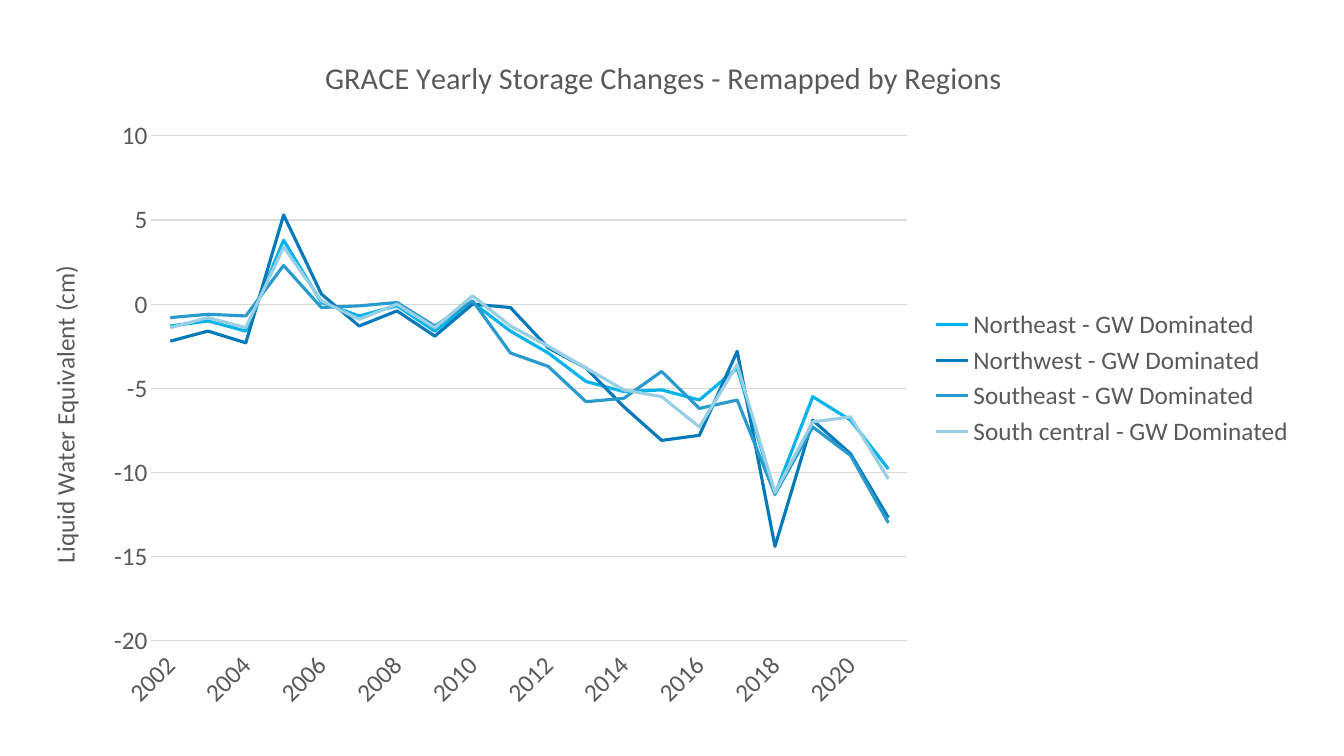
from lxml import etree
from pptx import Presentation
from pptx.chart.data import CategoryChartData
from pptx.dml.color import RGBColor
from pptx.enum.chart import XL_CHART_TYPE, XL_LEGEND_POSITION, XL_TICK_LABEL_POSITION, XL_TICK_MARK
from pptx.oxml.ns import qn
from pptx.util import Inches, Pt

# Content
TITLE = "GRACE Yearly Storage Changes - Remapped by Regions"
AXIS_TITLE = "Liquid Water Equivalent (cm)"
YEARS = [str(year) for year in range(2002, 2022)]
REGIONS = [
    ("Northeast - GW Dominated", "00B4EB",
     (-1.3, -1, -1.6, 3.8, 0.1, -0.7, -0.1, -1.6, 0.1, -1.6,
      -2.9, -4.6, -5.2, -5.1, -5.7, -3.8, -11.3, -5.5, -6.9, -9.8)),
    ("Northwest - GW Dominated", "0379B9",
     (-2.2, -1.6, -2.3, 5.3, 0.6, -1.3, -0.4, -1.9, 0, -0.2,
      -2.6, -3.8, -6.1, -8.1, -7.8, -2.8, -14.4, -6.9, -8.9, -12.7)),
    ("Southeast - GW Dominated", "289ACD",
     (-0.8, -0.6, -0.7, 2.3, -0.2, -0.1, 0.1, -1.3, 0.2, -2.9,
      -3.7, -5.8, -5.6, -4, -6.2, -5.7, -11.3, -7.3, -9, -13)),
    ("South central - GW Dominated", "98CFE5",
     (-1.4, -0.8, -1.4, 3.4, 0.2, -0.9, 0, -1.4, 0.5, -1.3,
      -2.5, -3.8, -5.1, -5.5, -7.3, -3.6, -11.2, -7, -6.7, -10.4)),
]
PLOT = {"x": 0.1, "y": 0.15, "w": 0.59, "h": 0.73}  # shares of the chart frame
GREY, GRID, FONT = "595959", "D9D9D9", "Calibri"


def rgb(value):
    return RGBColor.from_string(value)


def style_font(font, size):
    font.name, font.size, font.bold = FONT, Pt(size), False
    font.color.rgb = rgb(GREY)


def style_line(line, color, width):
    line.color.rgb = rgb(color)
    line.width = Pt(width)


def add_title(owner, text, size):
    p = owner.text_frame.paragraphs[0]
    r = p.add_run()
    r.text = text
    style_font(r.font, size)


def place_plot(chart):
    area = chart._chartSpace.chart.plotArea
    for old in area.findall(qn("c:layout")):
        area.remove(old)
    layout = etree.Element(qn("c:layout"))
    area.insert(0, layout)
    manual = etree.SubElement(layout, qn("c:manualLayout"))
    settings = {"layoutTarget": "inner", "xMode": "edge", "yMode": "edge", **PLOT}
    for tag, value in settings.items():
        etree.SubElement(manual, qn("c:" + tag)).set("val", str(value))


prs = Presentation()
prs.slide_width, prs.slide_height = Inches(13.33), Inches(7.5)
s = prs.slides.add_slide(prs.slide_layouts[6])

# Chart
data = CategoryChartData()
data.categories = YEARS
for name, _, values in REGIONS:
    data.add_series(name, values)
chart = s.shapes.add_chart(XL_CHART_TYPE.LINE, Inches(0.23), Inches(0.32),
                           Inches(12.71), Inches(6.86), data).chart
style_font(chart.font, 18)
add_title(chart.chart_title, TITLE, 21.6)
chart.chart_title.include_in_layout = False
place_plot(chart)

# Lines
chart.plots[0].vary_by_categories = False
for series, (_, color, _) in zip(chart.plots[0].series, REGIONS):
    series.smooth = False
    style_line(series.format.line, color, 2.25)

# Axes
years, level = chart.category_axis, chart.value_axis
for axis in (years, level):
    axis.major_tick_mark = axis.minor_tick_mark = XL_TICK_MARK.NONE
    style_font(axis.tick_labels.font, 18)
years.tick_label_position = XL_TICK_LABEL_POSITION.LOW
style_line(years.format.line, GRID, 0.75)
years._element.find(qn("c:txPr")).find(qn("a:bodyPr")).set("rot", "-2700000")
skip = etree.Element(qn("c:tickLblSkip"))
skip.set("val", "2")
years._element.find(qn("c:noMultiLvlLbl")).addprevious(skip)

level.minimum_scale, level.maximum_scale, level.major_unit = -20, 10, 5
level.tick_labels.number_format = "General"
level.tick_labels.number_format_is_linked = False
level.format.line.fill.background()
style_line(level.major_gridlines.format.line, GRID, 0.75)
add_title(level.axis_title, AXIS_TITLE, 18)
body = level.axis_title.text_frame._txBody.find(qn("a:bodyPr"))
body.set("rot", "-5400000")
body.set("vert", "horz")

# Legend
chart.has_legend = True
chart.legend.position = XL_LEGEND_POSITION.RIGHT
chart.legend.include_in_layout = False
style_font(chart.legend.font, 18)

prs.save("out.pptx")
